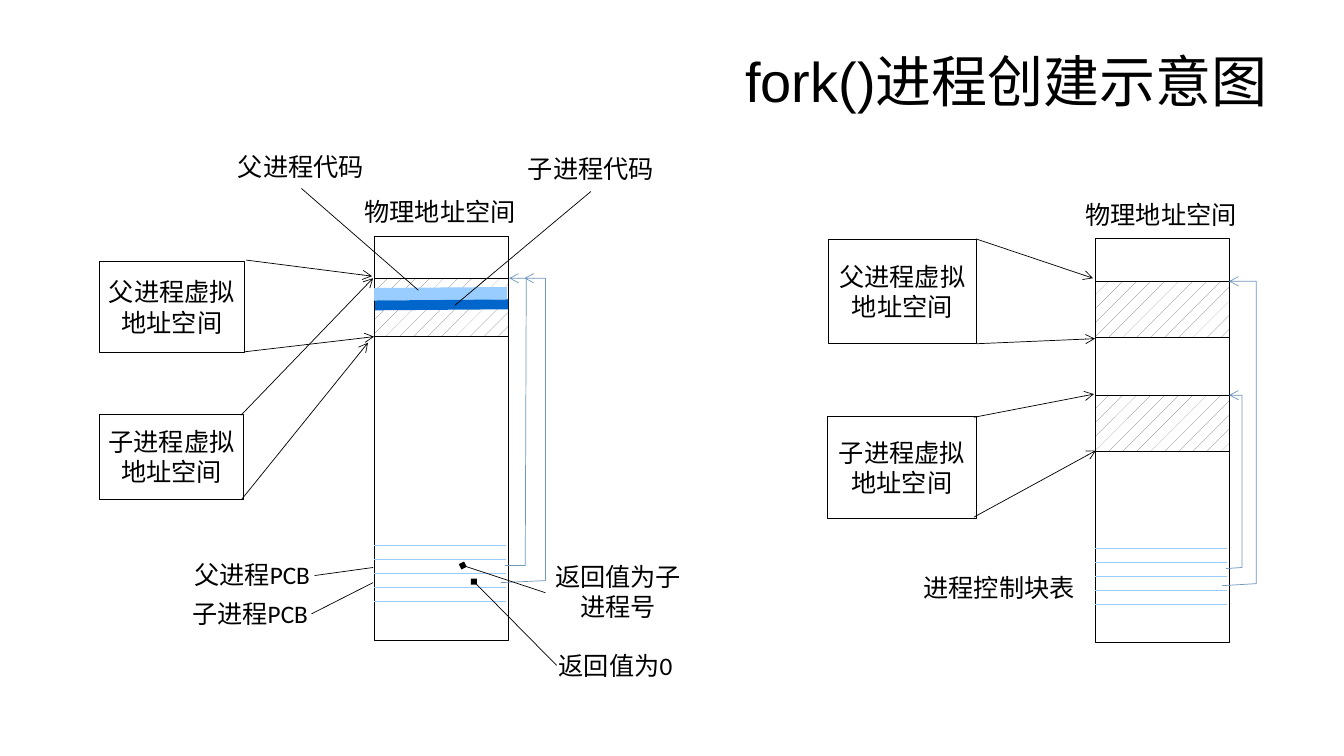
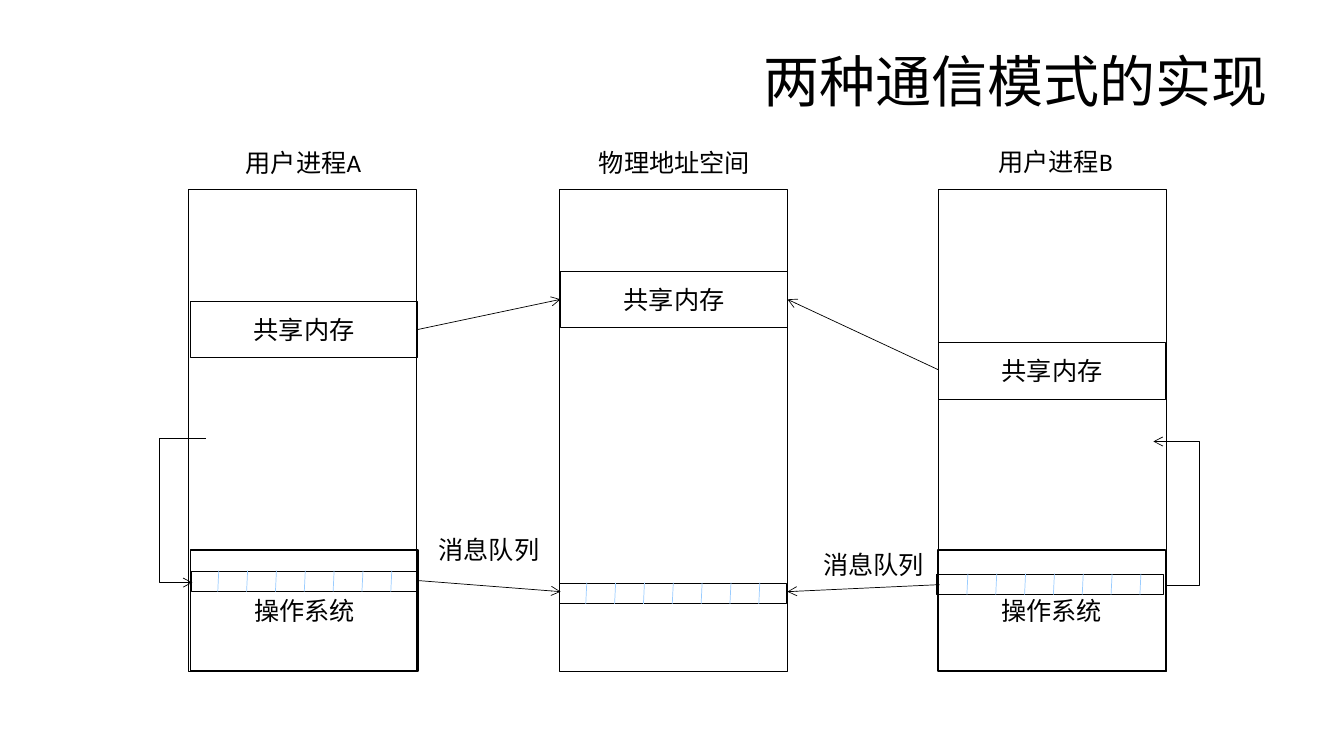
from dataclasses import dataclass

from lxml import etree
from pptx import Presentation
from pptx.dml.color import RGBColor
from pptx.enum.dml import MSO_PATTERN
from pptx.enum.shapes import MSO_CONNECTOR, MSO_SHAPE
from pptx.enum.text import MSO_ANCHOR, PP_ALIGN
from pptx.oxml.ns import qn
from pptx.util import Pt

RECT = MSO_SHAPE.RECTANGLE
STRAIGHT = MSO_CONNECTOR.STRAIGHT
DOTS = MSO_PATTERN.PERCENT_5
MIDDLE = MSO_ANCHOR.MIDDLE
CENTER, RIGHT = PP_ALIGN.CENTER, PP_ALIGN.RIGHT

PX = 9144  # 100 px to the inch


@dataclass(frozen=True)
class Theme:
    ink: str = "000000"
    paper: str = "FFFFFF"
    hatch: str = "737373"
    pale: str = "99CCFF"
    deep: str = "0066CC"
    loop: str = "7197BD"
    head: str = "Arial"
    body: str = "Calibri"
    title: int = 40
    text: int = 18
    thin: float = 0.5
    bold: float = 1.25


T = Theme()

# Boxes are (left, top, width, height); lines are (x1, y1, x2, y2).
TITLE_BOX = (67, 30, 1200, 99)

FORK_TITLE = "fork()进程创建示意图"
PARENT, CHILD = "父进程虚拟地址空间", "子进程虚拟地址空间"
SPACE = "物理地址空间"
ROWS, ROW_GAP, ROW_WIDTH = 5, 14, 131

FORK_PANELS = [
    {
        "column": (371, 234, 133, 401),
        "boxes": [(PARENT, (99, 259, 143, 91)), (CHILD, (99, 411, 142, 84))],
        "pages": [(371, 276, 133, 58)],
        "arrows": [(244, 258, 369, 274), (243, 349, 371, 334),
                   (240, 495, 365, 340), (239, 412, 370, 276)],
        "rows": (371, 541),
        "loops": [[(501, 561), (521, 561), (522, 276), (505, 276)],
                  [(497, 578), (541, 576), (541, 276), (520, 276)]],
        "bands": [((371, 292, 503, 291), T.pale, 9),
                  ((372, 303, 504, 302), T.deep, 7)],
        "labels": [
            (SPACE, (342, 187, 189, 46)),
            ("父进程PCB", (173, 547, 154, 46)),
            ("子进程PCB", (171, 586, 154, 46)),
            ("父进程代码", (231, 142, 135, 46)),
            ("子进程代码", (522, 144, 128, 46)),
            ("返回值为子进程号", (541, 555, 144, 64)),
            ("返回值为0", (552, 637, 117, 46)),
        ],
        "leads": [(312, 571, 370, 563), (309, 609, 370, 578),
                  (299, 187, 415, 288), (586, 190, 451, 303)],
        "pins": [(470, 577, 552, 660), (459, 561, 541, 588)],
    },
    {
        "column": (1086, 236, 133, 401),
        "boxes": [(PARENT, (822, 237, 146, 104)),
                  (CHILD, (821, 413, 147, 101))],
        "pages": [(1086, 392, 133, 56), (1086, 279, 133, 56)],
        "arrows": [(968, 237, 1084, 276), (969, 341, 1086, 336),
                   (966, 513, 1087, 447), (966, 414, 1085, 391)],
        "rows": (1086, 544),
        "loops": [[(1216, 564), (1232, 563), (1232, 392), (1219, 392)],
                  [(1212, 581), (1246, 579), (1246, 279), (1219, 279)]],
        "bands": [],
        "labels": [(SPACE, (1057, 190, 189, 46)),
                   ("进程控制块表", (914, 560, 154, 46))],
        "leads": [],
        "pins": [],
    },
]

COMM_TITLE = "两种通信模式的实现"
COL_TOP, COL_WIDTH, COL_HEIGHT = 188, 226, 478
SHARED, SYSTEM, QUEUE = "共享内存", "操作系统", "消息队列"
CELLS, CELL_GAP, CELL_HEIGHT = 8, 28.6, 20
COMM_COLUMNS = [
    {"left": 187, "name": ("用户进程A", (219, 137, 164, 49)),
     "shared": (189, 299), "system": (189, 546),
     "queue": (190, 567), "tick": 217},
    {"left": 555, "name": (SPACE, (568, 137, 202, 48)),
     "shared": (556, 269), "system": None,
     "queue": (555, 579), "tick": 582},
    {"left": 931, "name": ("用户进程B", (965, 137, 164, 47)),
     "shared": (931, 340), "system": (930, 546),
     "queue": (929, 570), "tick": 960},
]
COMM_ARROWS = [(414, 327, 556, 297), (931, 367, 781, 297),
               (415, 576, 556, 587), (932, 580, 781, 587)]
COMM_LABELS = [(QUEUE, (423, 517, 124, 56)), (QUEUE, (805, 532, 123, 56))]
COMM_LOOPS = [[(204, 435), (158, 435), (158, 578), (191, 578)],
              [(1156, 581), (1190, 581), (1190, 438), (1144, 438)]]


def emu(vals):
    return [round(v * PX) for v in vals]


def rgb(code):
    return RGBColor.from_string(code)


def write(shape, text, size=T.text, font=T.body, align=CENTER):
    frame = shape.text_frame
    frame.word_wrap = True
    frame.vertical_anchor = MIDDLE
    para = frame.paragraphs[0]
    para.alignment = align
    run = para.add_run()
    run.text = text
    run.font.size = Pt(size)
    run.font.name = font
    run.font.color.rgb = rgb(T.ink)
    return frame


def stroke(shape, color, width, head=None, tail=None):
    """Style an outline; head sits at its start and tail at its end."""
    shape.line.color.rgb = rgb(color)
    shape.line.width = Pt(width)
    for tag, kind in (("a:headEnd", head), ("a:tailEnd", tail)):
        if kind:
            etree.SubElement(shape.line._ln, qn(tag)).set("type", kind)


def label(shapes, text, box):
    frame = write(shapes.add_textbox(*emu(box)), text)
    frame.margin_left = frame.margin_right = 0
    frame.margin_top = frame.margin_bottom = 0


def rect(shapes, box, text=None, fill=None, width=T.thin):
    shape = shapes.add_shape(RECT, *emu(box))
    shape.shadow.inherit = False
    if fill:
        shape.fill.solid()
        shape.fill.fore_color.rgb = rgb(fill)
    else:
        shape.fill.background()
    stroke(shape, T.ink, width)
    if text:
        label(shapes, text, box)
    return shape


def line(shapes, ends, color=T.ink, width=T.thin, head=None, tail=None):
    shape = shapes.add_connector(STRAIGHT, *emu(ends))
    stroke(shape, color, width, head, tail)
    etree.SubElement(shape._element.spPr, qn("a:effectLst"))


def loop(shapes, points, color):
    """Draw an open bent path that ends in an arrow."""
    path = shapes.build_freeform(*points[0], scale=PX)
    path.add_line_segments(points[1:], close=False)
    shape = path.convert_to_shape()
    shape.shadow.inherit = False
    shape.fill.background()
    stroke(shape, color, T.thin, tail="arrow")


def page(shapes, box):
    fill = rect(shapes, box).fill
    fill.patterned()
    fill.pattern = DOTS
    fill.fore_color.rgb = rgb(T.hatch)
    fill.back_color.rgb = rgb(T.paper)


def start(prs, title):
    slide = prs.slides.add_slide(prs.slide_layouts[6])
    box = slide.shapes.add_textbox(*emu(TITLE_BOX))
    write(box, title, T.title, T.head, RIGHT)
    return slide


def panel(shapes, data):
    """Draw one memory column with the address spaces mapped to it."""
    for text, box in data["boxes"]:
        rect(shapes, box, text, T.paper)
    rect(shapes, data["column"], fill=T.paper)
    for ends in data["arrows"]:
        line(shapes, ends, tail="arrow")
    for box in data["pages"]:
        page(shapes, box)
    left, top = data["rows"]
    for i in range(ROWS):
        y = top + i * ROW_GAP
        line(shapes, (left, y, left + ROW_WIDTH, y), T.pale)
    for points in data["loops"]:
        loop(shapes, points, T.loop)
    for ends, color, width in data["bands"]:
        line(shapes, ends, color, width)
    for text, box in data["labels"]:
        label(shapes, text, box)
    for ends in data["leads"]:
        line(shapes, ends)
    for ends in data["pins"]:
        line(shapes, ends, head="diamond")


def column(shapes, data):
    """Draw one address space with its shared part and message queue."""
    rect(shapes, (data["left"], COL_TOP, COL_WIDTH, COL_HEIGHT))
    label(shapes, *data["name"])
    if data["system"]:
        rect(shapes, (*data["system"], 226, 120), SYSTEM, width=T.bold)
    rect(shapes, (*data["shared"], 225, 56), SHARED)
    left, top = data["queue"]
    rect(shapes, (left, top, 225, CELL_HEIGHT))
    for i in range(CELLS - 1):
        x = data["tick"] + i * CELL_GAP
        line(shapes, (x, top - 1, x - 1, top + CELL_HEIGHT), T.pale)


def main():
    prs = Presentation()
    prs.slide_width, prs.slide_height = emu((1333, 750))

    slide = start(prs, FORK_TITLE)
    for data in FORK_PANELS:
        panel(slide.shapes.add_group_shape().shapes, data)

    slide = start(prs, COMM_TITLE)
    shapes = slide.shapes.add_group_shape().shapes
    for data in COMM_COLUMNS:
        column(shapes, data)
    for ends in COMM_ARROWS:
        line(shapes, ends, tail="arrow")
    for text, box in COMM_LABELS:
        label(shapes, text, box)
    for points in COMM_LOOPS:
        loop(shapes, points, T.ink)

    prs.save("out.pptx")


if __name__ == "__main__":
    main()
